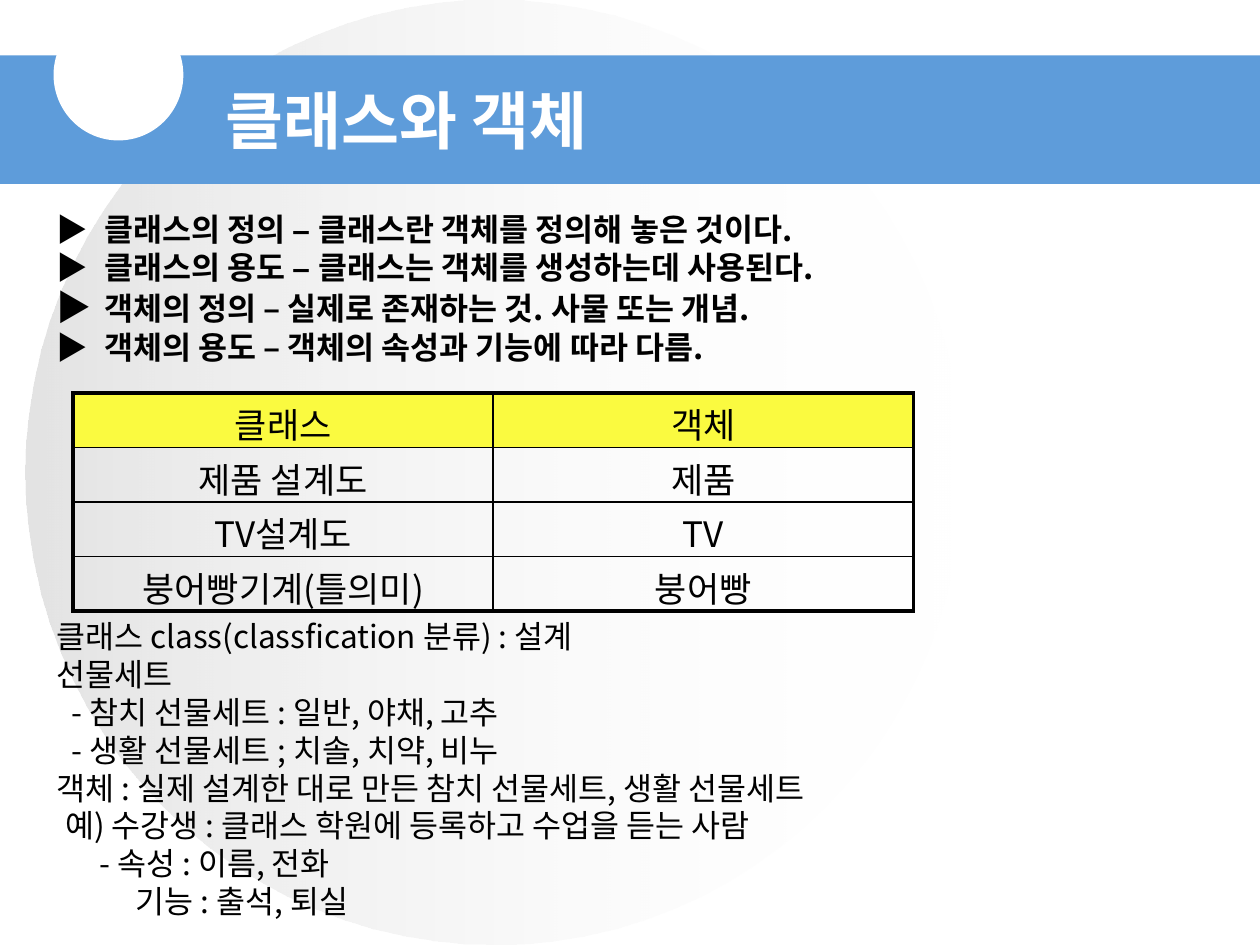
from pptx import Presentation
from pptx.dml.color import RGBColor
from pptx.enum import shapes, text
from pptx.oxml import parse_xml
from pptx.oxml.ns import nsdecls
from pptx.util import Inches, Pt

FONT = "Noto Sans CJK KR"
TITLE = "클래스와 객체"
POINTS = [
    [("▶\t클래스의 정의 ", FONT, 18), ("– ", "Arial", 18),
     ("클래스란 객체를 정의해 놓은 것이다.", FONT, 18)],
    [("▶\t클래스의 용도 ", FONT, 18), ("– ", "Arial", 18),
     ("클래스는 객체를 생성하는데 사용된다.", FONT, 18)],
    [("▶\t", FONT, 20),
     ("객체의 정의 – 실제로 존재하는 것. 사물 또는 개념.", FONT, 18)],
    [("▶\t객체의 용도 – 객체의 속성과 기능에 따라 다름.", FONT, 18)],
]
ROWS = [
    ("클래스", "객체"),
    ("제품 설계도", "제품"),
    ("TV설계도", "TV"),
    ("붕어빵기계(틀의미)", "붕어빵"),
]
NOTES = [
    (0, "클래스 class(classfication 분류) : 설계"),
    (0, "선물세트"),
    (0.12, "- 참치 선물세트 : 일반, 야채, 고추"),
    (0.12, "- 생활 선물세트 ; 치솔, 치약, 비누"),
    (0, "객체 : 실제 설계한 대로 만든 참치 선물세트, 생활 선물세트"),
    (0.07, "예) 수강생 : 클래스 학원에 등록하고 수업을 듣는 사람"),
    (0.34, "- 속성 : 이름, 전화"),
    (0.63, "기능 : 출석, 퇴실"),
]


def color(code):
    return RGBColor.from_string(code)


def add_run(para, words, size, font=FONT, bold=False, ink="000000"):
    run = para.add_run()
    run.text = words
    run.font.size = Pt(size)
    run.font.name = font
    run.font.bold = bold
    run.font.color.rgb = color(ink)
    props = run.font._element
    props.append(parse_xml(f'<a:ea {nsdecls("a")} typeface="{font}"/>'))


def add_shape(slide, kind, box, fill=None):
    shape = slide.shapes.add_shape(kind, *map(Inches, box))
    shape.shadow.inherit = False
    shape.line.fill.background()
    if fill:
        shape.fill.solid()
        shape.fill.fore_color.rgb = color(fill)
    return shape


def add_box(slide, box):
    frame = slide.shapes.add_textbox(*map(Inches, box)).text_frame
    frame.word_wrap = True
    return frame


def add_lines(frame, lines, hang, bold=False):
    for i, (shift, runs) in enumerate(lines):
        para = frame.add_paragraph() if i else frame.paragraphs[0]
        props = para._p.get_or_add_pPr()
        props.set("marL", str(Inches(hang + shift)))
        props.set("indent", str(-Inches(hang)))
        for words, font, size in runs:
            add_run(para, words, size, font, bold)


def add_edges(cell, edges):
    props = cell._tc.get_or_add_tcPr()
    for i, (side, outer) in enumerate(edges):
        width = Pt(2.25 if outer else 1)
        props.insert(i, parse_xml(
            f'<a:ln{side} {nsdecls("a")} w="{width}"><a:solidFill>'
            f'<a:srgbClr val="000000"/></a:solidFill></a:ln{side}>'))


def add_grid(slide):
    high, wide = len(ROWS), len(ROWS[0])
    table = slide.shapes.add_table(
        high, wide, Inches(0.58), Inches(3.12), Inches(6.67), Inches(1.73)).table
    for r, row in enumerate(ROWS):
        for c, words in enumerate(row):
            cell = table.cell(r, c)
            cell.margin_top, cell.margin_bottom = Inches(0.04), 0
            cell.vertical_anchor = text.MSO_ANCHOR.TOP
            para = cell.text_frame.paragraphs[0]
            para.alignment = text.PP_ALIGN.CENTER
            add_run(para, words, 20)
            if r == 0:
                cell.fill.solid()
                cell.fill.fore_color.rgb = color("FAFA40")
            else:
                cell.fill.background()
            add_edges(cell, [("L", c == 0), ("R", c == wide - 1),
                             ("T", r == 0), ("B", r == high - 1)])


def main():
    deck = Presentation()
    deck.slide_width, deck.slide_height = Inches(10), Inches(7.5)
    slide = deck.slides.add_slide(deck.slide_layouts[6])
    kinds = shapes.MSO_SHAPE

    disc = add_shape(slide, kinds.OVAL, (0.2, 0, 7.44, 7.5))
    disc.fill.gradient()
    disc.fill.gradient_angle = 0
    for stop, code in zip(disc.fill.gradient_stops, ("C0C0C0", "FFFFFF")):
        stop.color.rgb = color(code)
    tints = disc._element.spPr.xpath("./a:gradFill//a:srgbClr")
    for tint, alpha in zip(tints, (44, 0)):
        tint.append(parse_xml(f'<a:alpha {nsdecls("a")} val="{alpha * 1000}"/>'))

    add_shape(slide, kinds.RECTANGLE, (0, 0.44, 10, 1.02), "5E9CDA")
    dot = add_shape(slide, kinds.OVAL, (0.43, 0.08, 1.02, 1.03), "FFFFFF")
    dot.line.color.rgb = color("FFFFFF")
    dot.line.width = Pt(0.75)

    head = add_box(slide, (1.69, 0.6, 4.8, 0.6))
    add_run(head.paragraphs[0], TITLE, 36, bold=True, ink="FFFFFF")
    add_lines(add_box(slide, (0.35, 1.62, 9.27, 1.35)),
              [(0, runs) for runs in POINTS], 0.38, True)
    add_grid(slide)
    add_lines(add_box(slide, (0.35, 4.85, 8.27, 2.52)),
              [(shift, [(words, FONT, 18)]) for shift, words in NOTES], 0.29)
    deck.save("out.pptx")


if __name__ == "__main__":
    main()
